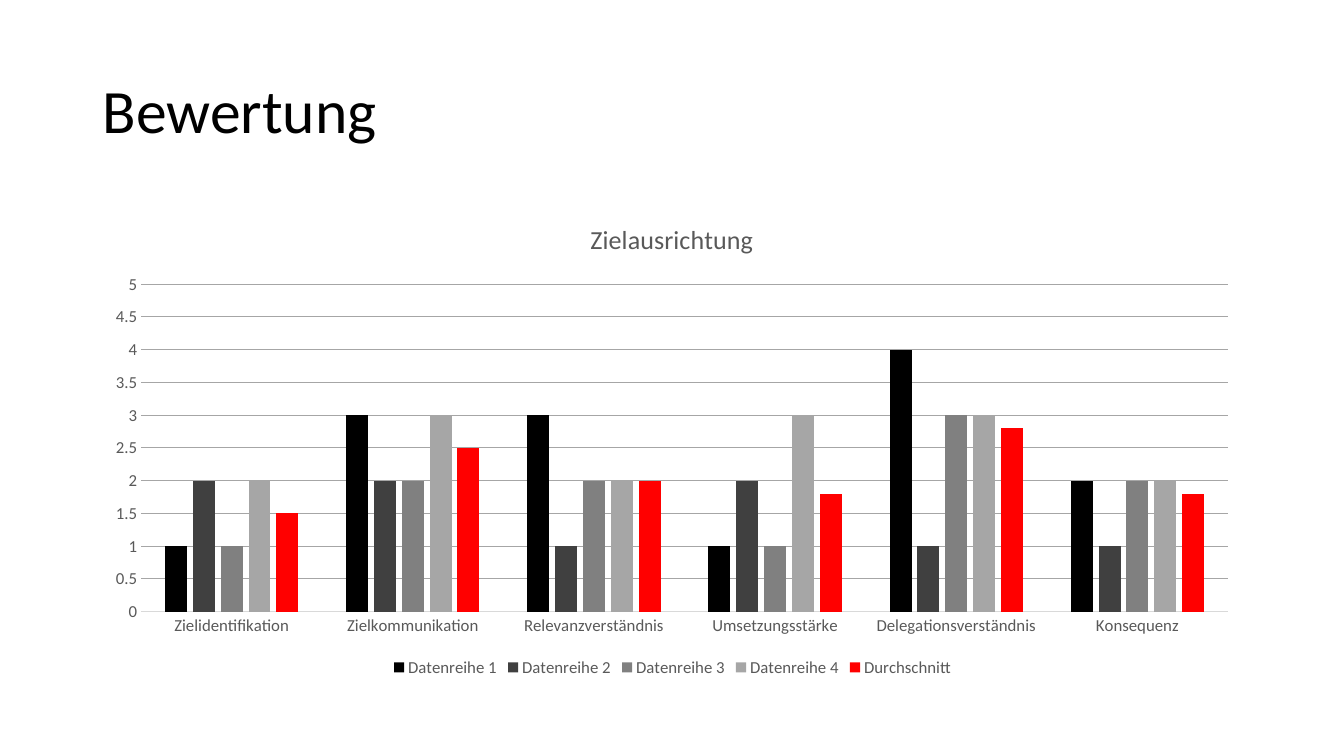
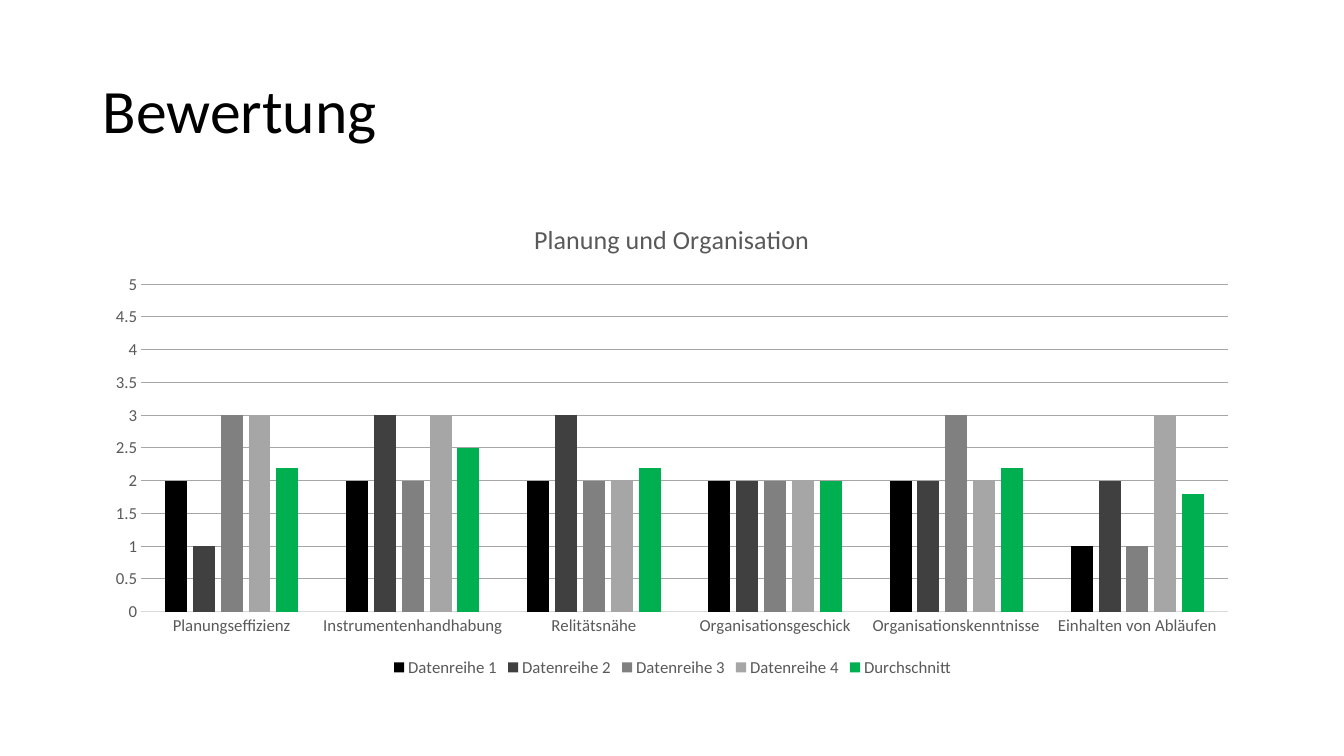
from pptx import Presentation
from pptx.chart.data import CategoryChartData
from pptx.dml.color import RGBColor
from pptx.enum import chart as ch, text
from pptx.oxml import parse_xml
from pptx.oxml.ns import nsdecls, qn
from pptx.util import Inches, Pt

# Shared style
FONT = "Calibri"
COLORS = {"title": "000000", "label": "595959", "axis": "D9D9D9", "grid": "A6A6A6",
          "red": "FF0000", "green": "00B050"}
RATER_COLORS = ["000000", "404040", "808080", "A6A6A6"]
LEFT, WIDTH, CHART_HEIGHT = Inches(0.92), Inches(11.5), Inches(4.76)
PLOT_AREA = {"x": Inches(0.48), "y": Inches(0.82), "w": Inches(10.78), "h": Inches(3.25)}

# Content: each criterion with its four ratings
RATINGS = [
    {"heading": "Zielausrichtung", "heading_x": Inches(4.89), "average": "red", "criteria": {
        "Zielidentifikation": (1, 2, 1, 2),
        "Zielkommunikation": (3, 2, 2, 3),
        "Relevanzverständnis": (3, 1, 2, 2),
        "Umsetzungsstärke": (1, 2, 1, 3),
        "Delegationsverständnis": (4, 1, 3, 3),
        "Konsequenz": (2, 1, 2, 2)}},
    {"heading": "Planung und Organisation", "heading_x": Inches(4.33), "average": "green",
     "criteria": {
        "Planungseffizienz": (2, 1, 3, 3),
        "Instrumentenhandhabung": (2, 3, 2, 3),
        "Relitätsnähe": (2, 3, 2, 2),
        "Organisationsgeschick": (2, 2, 2, 2),
        "Organisationskenntnisse": (2, 2, 3, 2),
        "Einhalten von Abläufen": (1, 2, 1, 3)}},
]


def rgb(name):
    return RGBColor.from_string(COLORS.get(name, name))


def style_font(font, size, color):
    font.name, font.size, font.bold = FONT, Pt(size), False
    font.color.rgb = rgb(color)


def style_line(line, color):
    line.width = Pt(0.75)
    line.color.rgb = rgb(color)


def set_layout(element, index, inner=False, **lengths):
    """Place a chart part by lengths from the chart's corner."""
    for old in element.findall(qn("c:layout")):
        element.remove(old)
    target = '<c:layoutTarget val="inner"/>' if inner else ""
    modes = "".join(f'<c:{k}Mode val="edge"/>' for k in "xy")
    whole = {"x": WIDTH, "w": WIDTH, "y": CHART_HEIGHT, "h": CHART_HEIGHT}
    values = "".join(f'<c:{k} val="{v / whole[k]:.4f}"/>' for k, v in lengths.items())
    element.insert(index, parse_xml(
        f'<c:layout {nsdecls("c")}><c:manualLayout>{target}{modes}{values}'
        '</c:manualLayout></c:layout>'))


def add_title(slide, words):
    title = slide.shapes.title
    title.left, title.top, title.width, title.height = LEFT, Inches(0.4), WIDTH, Inches(1.45)
    title.text_frame.vertical_anchor = text.MSO_ANCHOR.MIDDLE
    paragraph = title.text_frame.paragraphs[0]
    paragraph.alignment, paragraph.line_spacing = text.PP_ALIGN.LEFT, 0.9
    run = paragraph.add_run()
    run.text = words
    style_font(run.font, 44, "title")


def add_ratings(slide, rating):
    scores = list(rating["criteria"].values())
    data = CategoryChartData()
    data.categories = list(rating["criteria"])
    for number, values in enumerate(zip(*scores), 1):
        data.add_series(f"Datenreihe {number}", values)
    data.add_series("Durchschnitt", [round(sum(s) / len(s), 1) for s in scores])
    chart = slide.shapes.add_chart(ch.XL_CHART_TYPE.COLUMN_CLUSTERED, LEFT, Inches(2),
                                   WIDTH, CHART_HEIGHT, data).chart
    style_font(chart.font, 10, "title")

    # Heading and legend
    chart.has_title = True
    run = chart.chart_title.text_frame.paragraphs[0].add_run()
    run.text = rating["heading"]
    style_font(run.font, 18.6, "label")
    chart.chart_title.include_in_layout = False
    set_layout(chart.chart_title._element, 1, x=rating["heading_x"], y=Inches(0.15))
    chart.has_legend = True
    chart.legend.position = ch.XL_LEGEND_POSITION.BOTTOM
    chart.legend.include_in_layout = False
    style_font(chart.legend.font, 12, "label")

    # Columns
    plot = chart.plots[0]
    plot.gap_width, plot.overlap, plot.vary_by_categories = 219, -27, False
    for series, color in zip(plot.series, RATER_COLORS + [rating["average"]]):
        series.format.fill.solid()
        series.format.fill.fore_color.rgb = rgb(color)
    set_layout(chart._chartSpace.chart.plotArea, 0, inner=True, **PLOT_AREA)

    # Axes
    criteria_axis, score_axis = chart.category_axis, chart.value_axis
    for axis in (criteria_axis, score_axis):
        axis.major_tick_mark = axis.minor_tick_mark = ch.XL_TICK_MARK.NONE
        style_font(axis.tick_labels.font, 12, "label")
    style_line(criteria_axis.format.line, "axis")
    score_axis.format.line.fill.background()
    score_axis.minimum_scale, score_axis.maximum_scale, score_axis.major_unit = 0, 5, 0.5
    score_axis.has_major_gridlines = True
    style_line(score_axis.major_gridlines.format.line, "grid")


def main():
    deck = Presentation()
    deck.slide_width, deck.slide_height = Inches(13.33), Inches(7.5)
    for rating in RATINGS:
        slide = deck.slides.add_slide(deck.slide_layouts.get_by_name("Title Only"))
        add_title(slide, "Bewertung")
        add_ratings(slide, rating)
    deck.save("out.pptx")


if __name__ == "__main__":
    main()
